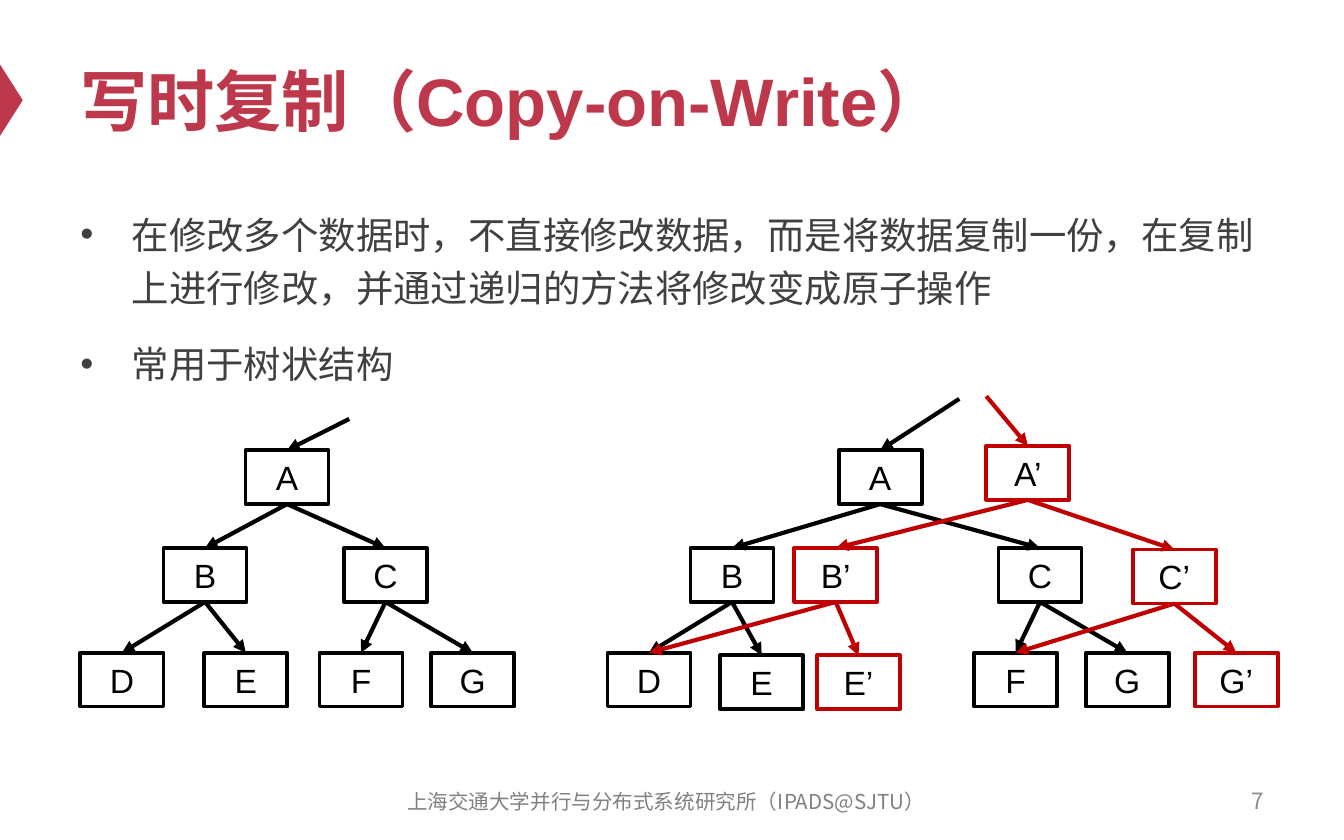
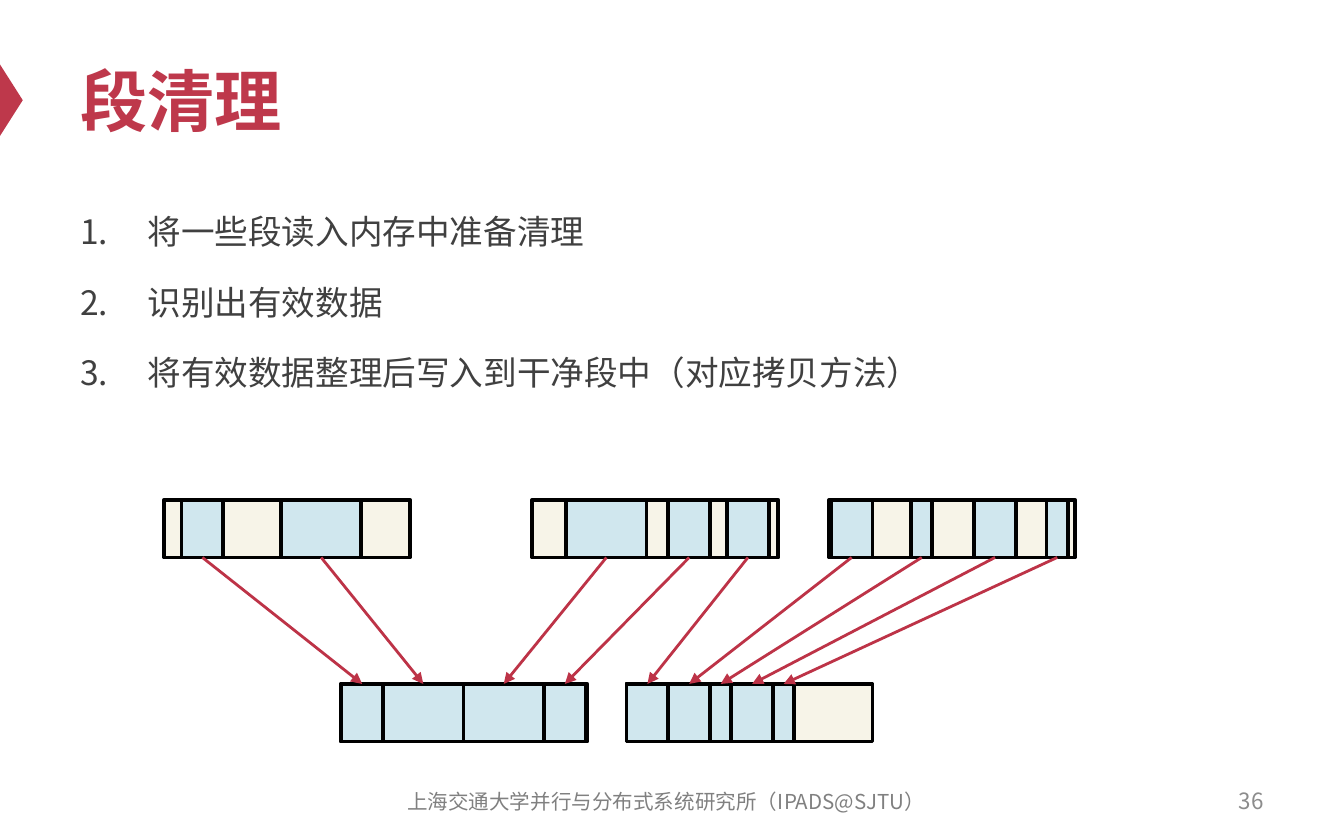
from lxml.etree import SubElement
from pptx import Presentation
from pptx.dml.color import RGBColor
from pptx.enum.shapes import MSO_CONNECTOR, MSO_SHAPE
from pptx.enum.text import MSO_ANCHOR, PP_ALIGN
from pptx.oxml.ns import qn
from pptx.util import Cm, Pt

CRIMSON = RGBColor(0xBE, 0x38, 0x4B)
ARROW_RED = RGBColor(0xBD, 0x33, 0x47)
COPY_RED = RGBColor(0xC0, 0x00, 0x00)
BLACK = RGBColor(0x00, 0x00, 0x00)
WHITE = RGBColor(0xFF, 0xFF, 0xFF)
BODY_GREY = RGBColor(0x40, 0x40, 0x40)
FOOTER_GREY = RGBColor(0x80, 0x80, 0x80)
NUMBER_GREY = RGBColor(0x8C, 0x8C, 0x8C)
CREAM = RGBColor(0xF7, 0xF4, 0xE8)
LIVE_BLUE = RGBColor(0xD0, 0xE7, 0xEE)

LATIN, CHINESE = "Arial", "Noto Sans CJK SC"
TITLE_FONT = {"name": LATIN, "size": Pt(36), "bold": True}
NODE_FONT = {"name": LATIN, "size": Pt(18)}
FOOTER_FONT = {"name": CHINESE, "size": Pt(11)}
NUMBER_FONT = {"name": CHINESE, "size": Pt(12)}
LEFT, CENTER, RIGHT = PP_ALIGN.LEFT, PP_ALIGN.CENTER, PP_ALIGN.RIGHT

# Boxes are left, top, width, height in centimetres
MARKER_BOX = (-0.46, 1.68, 1.35, 0.43)
TITLE_BOX = (1.27, 0.64, 22.86, 2.49)
BODY_BOX = (1.27, 3.71, 22.86, 10.46)
NUMBER_BOX = (18.21, 14.71, 5.92, 0.84)
FOOTER_BOX = (7.09, 14.73, 11, 0.84)
FOOTER = "上海交通大学并行与分布式系统研究所（IPADS@SJTU）"

# Tree nodes: name -> left, top within the tree
NODE_WIDTH, NODE_HEIGHT = 1.57, 1.02
ROOT, MIDDLE, LEAF = 1.02, 2.87, 4.85
BEFORE_NODES = {
    "A": (3.12, ROOT), "B": (1.57, MIDDLE), "C": (4.98, MIDDLE),
    "D": (0, LEAF), "E": (2.34, LEAF), "F": (4.52, LEAF), "G": (6.63, LEAF),
}
AFTER_NODES = {
    "A": (4.37, ROOT), "B": (1.57, MIDDLE), "C": (7.39, MIDDLE),
    "D": (0, LEAF), "E": (2.13, 4.9), "F": (6.93, LEAF), "G": (9.04, LEAF),
}
COPIED_NODES = {
    "A’": (7.16, 0.94), "B’": (3.53, MIDDLE), "C’": (9.93, 2.9),
    "E’": (3.96, 4.9), "G’": (11.1, LEAF),
}
TREE_EDGES = ("AB", "AC", "BD", "BE", "CF", "CG")
COPIED_EDGES = (("A’", "B’"), ("A’", "C’"), ("B’", "D"),
                ("B’", "E’"), ("C’", "F"), ("C’", "G’"))

# Log segments: live blocks as offset, width within each old segment
SEGMENT_WIDTH, SEGMENT_HEIGHT = 4.65, 1.09
SMALL, MEDIUM, LARGE = 0.4, 0.79, 1.52
OLD_SEGMENTS = {
    3.1: ((0.33, MEDIUM), (2.21, LARGE)),
    10.06: ((0.64, LARGE), (2.57, MEDIUM), (3.68, MEDIUM)),
    15.67: ((0.03, MEDIUM), (1.55, SMALL), (2.74, MEDIUM), (4.11, SMALL)),
}
CLEAN_SEGMENTS = {6.45: slice(0, 4), 11.84: slice(4, None)}


def set_values(target, values):
    for name, value in values.items():
        setattr(target, name, value)


def write(para, text, font, color):
    span = para.add_run()
    span.text = text
    set_values(span.font, font)
    span.font.color.rgb = color
    SubElement(span._r.get_or_add_rPr(), qn("a:ea"), typeface=CHINESE)


def add_text(page, box, text, font, color, align=LEFT):
    frame = page.shapes.add_textbox(*map(Cm, box)).text_frame
    set_values(frame, {"word_wrap": True, "vertical_anchor": MSO_ANCHOR.MIDDLE})
    para = frame.paragraphs[0]
    para.alignment = align
    write(para, text, font, color)


def add_block(page, box, fill, line=None, kind=MSO_SHAPE.RECTANGLE):
    block = page.shapes.add_shape(kind, *map(Cm, box))
    block.shadow.inherit = False
    block.fill.solid()
    block.fill.fore_color.rgb = fill
    if line is None:
        block.line.fill.background()
    else:
        block.line.color.rgb = line
        block.line.width = Pt(2)
    return block


def add_arrow(page, target, color, width, source=None, start=(0, 0)):
    """Arrow to the top of target, from the bottom of source or a point."""
    x, y = map(Cm, start)
    arrow = page.shapes.add_connector(MSO_CONNECTOR.STRAIGHT, x, y, x, y)
    if source is not None:
        arrow.begin_connect(source, 2)
    arrow.end_connect(target, 0)
    arrow.line.color.rgb = color
    arrow.line.width = Pt(width)
    SubElement(arrow.line._get_or_add_ln(), qn("a:tailEnd"), type="triangle")
    SubElement(arrow._element.spPr, qn("a:effectLst"))


def add_frame(deck, title, number):
    """Page with the marker, title, number and footer that all pages share."""
    page = deck.slides.add_slide(deck.slide_layouts[6])
    marker = add_block(page, MARKER_BOX, CRIMSON,
                       kind=MSO_SHAPE.ISOSCELES_TRIANGLE)
    marker.rotation = 90
    add_text(page, TITLE_BOX, title, TITLE_FONT, CRIMSON)
    add_text(page, NUMBER_BOX, str(number), NUMBER_FONT, NUMBER_GREY, RIGHT)
    add_text(page, FOOTER_BOX, FOOTER, FOOTER_FONT, FOOTER_GREY, CENTER)
    return page


def add_list(page, box, items, size, indent, numbered=False):
    frame = page.shapes.add_textbox(*map(Cm, box)).text_frame
    frame.word_wrap = True
    for index, item in enumerate(items):
        para = frame.add_paragraph() if index else frame.paragraphs[0]
        # Bullet or number with a hanging indent
        props = para._p.get_or_add_pPr()
        props.set("marL", str(Cm(indent)))
        props.set("indent", str(-Cm(indent)))
        SubElement(props, qn("a:buFont"), typeface=CHINESE if numbered else LATIN)
        if numbered:
            SubElement(props, qn("a:buAutoNum"), type="arabicPeriod")
        else:
            SubElement(props, qn("a:buChar"), char="•")
        set_values(para, {"line_spacing": 1.2,
                          "space_before": Pt(12 if index else 0)})
        write(para, item, {"name": LATIN, "size": Pt(size)}, BODY_GREY)


def add_nodes(page, left, top, places, line):
    nodes = {}
    for name, (x, y) in places.items():
        box = (left + x, top + y, NODE_WIDTH, NODE_HEIGHT)
        node = nodes[name] = add_block(page, box, WHITE, line)
        node.text_frame.vertical_anchor = MSO_ANCHOR.MIDDLE
        para = node.text_frame.paragraphs[0]
        para.alignment = CENTER
        write(para, name, NODE_FONT, BLACK)
    return nodes


def add_edges(page, nodes, edges, color):
    for parent, child in edges:
        add_arrow(page, nodes[child], color, 2.25, source=nodes[parent])


def add_tree(page, left, top, places, entry):
    """Black tree with an arrow into its root from the entry point."""
    nodes = add_nodes(page, left, top, places, BLACK)
    add_edges(page, nodes, TREE_EDGES, BLACK)
    start = (left + entry[0], top + entry[1])
    add_arrow(page, nodes["A"], BLACK, 2.25, start=start)
    return nodes


def add_copied_path(page, left, top, nodes):
    """Red copies that share the unchanged leaves of the tree."""
    nodes = nodes | add_nodes(page, left, top, COPIED_NODES, COPY_RED)
    add_edges(page, nodes, COPIED_EDGES, COPY_RED)
    add_arrow(page, nodes["A’"], COPY_RED, 2.25, start=(left + 7.16, top))


def add_segment(page, left, top, blocks):
    """Cream segment with gaps outlined around its live blocks."""
    add_block(page, (left, top, SEGMENT_WIDTH, SEGMENT_HEIGHT), CREAM, BLACK)
    return [add_block(page, (left + x, top, width, SEGMENT_HEIGHT),
                      LIVE_BLUE, BLACK) for x, width in blocks]


def packed(widths):
    """Offset and width of blocks laid side by side."""
    return [(sum(widths[:index]), width) for index, width in enumerate(widths)]


def add_cleaning(page, old_top, clean_top):
    """Old segments whose live blocks are packed into clean ones."""
    live, moved = [], []
    for left, blocks in OLD_SEGMENTS.items():
        live += add_segment(page, left, old_top, blocks)
    widths = [width for blocks in OLD_SEGMENTS.values() for _, width in blocks]
    for left, share in CLEAN_SEGMENTS.items():
        moved += add_segment(page, left, clean_top, packed(widths[share]))
    for source, target in zip(live, moved):
        add_arrow(page, target, ARROW_RED, 1.5, source=source)


def add_copy_on_write_page(deck):
    page = add_frame(deck, "写时复制（Copy-on-Write）", 7)
    add_list(page, BODY_BOX, (
        "在修改多个数据时，不直接修改数据，而是将数据复制一份，在复制上进行修改，"
        "并通过递归的方法将修改变成原子操作",
        "常用于树状结构",
    ), 20, 0.97)
    add_tree(page, 1.52, 7.49, BEFORE_NODES, (5.08, 0.43))
    nodes = add_tree(page, 11.48, 7.49, AFTER_NODES, (6.65, 0.05))
    add_copied_path(page, 11.48, 7.49, nodes)


def add_segment_cleaning_page(deck):
    page = add_frame(deck, "段清理", 36)
    add_list(page, BODY_BOX, (
        "将一些段读入内存中准备清理",
        "识别出有效数据",
        "将有效数据整理后写入到干净段中（对应拷贝方法）",
    ), 18, 1.27, numbered=True)
    add_cleaning(page, 9.45, 12.93)


def main():
    deck = Presentation()
    set_values(deck, {"slide_width": Cm(25.4), "slide_height": Cm(15.88)})
    add_copy_on_write_page(deck)
    add_segment_cleaning_page(deck)
    deck.save("out.pptx")


if __name__ == "__main__":
    main()
